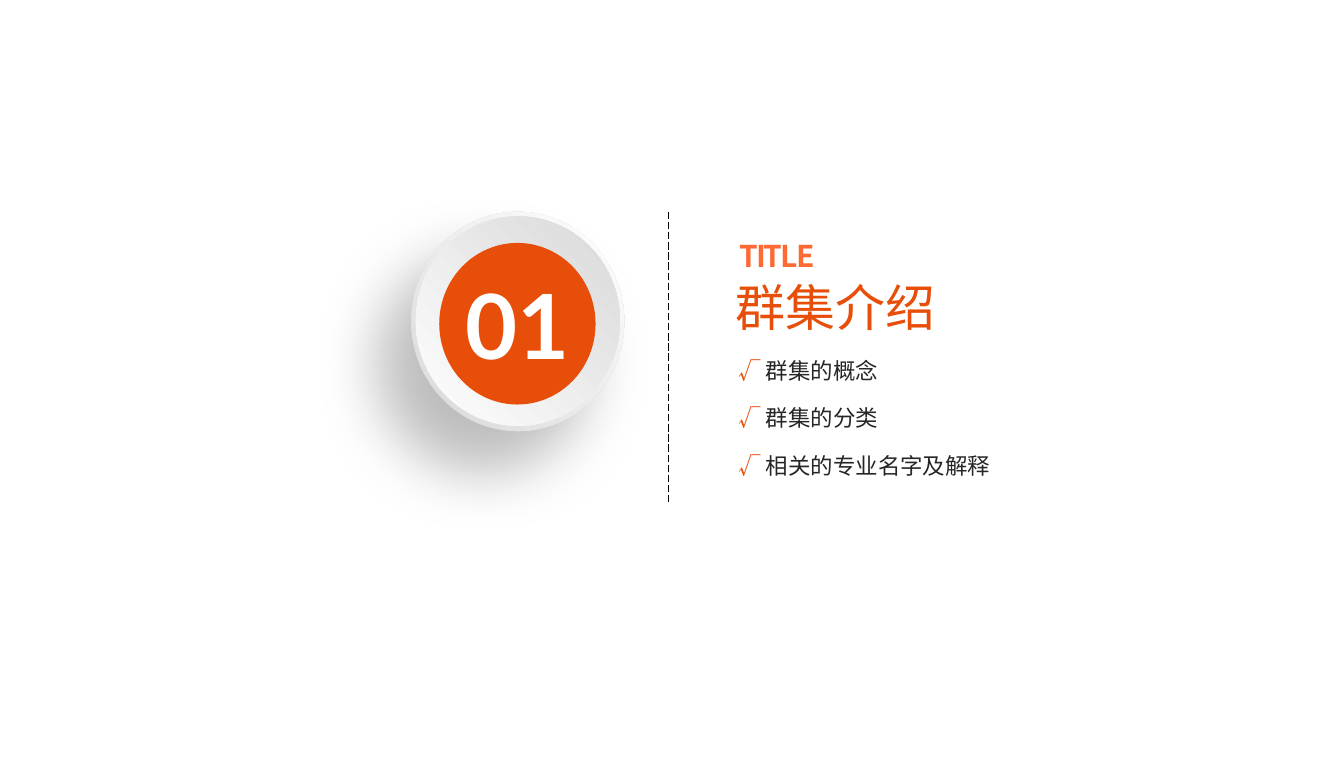
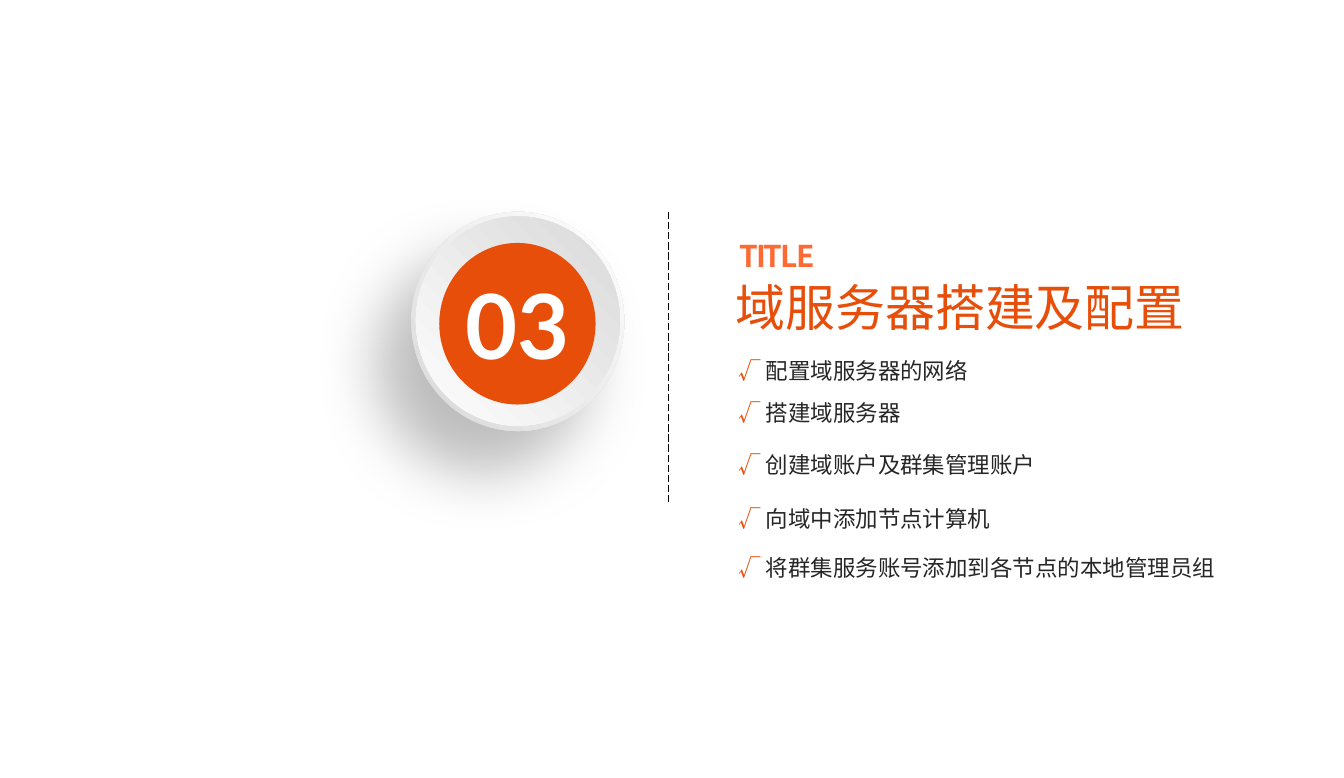
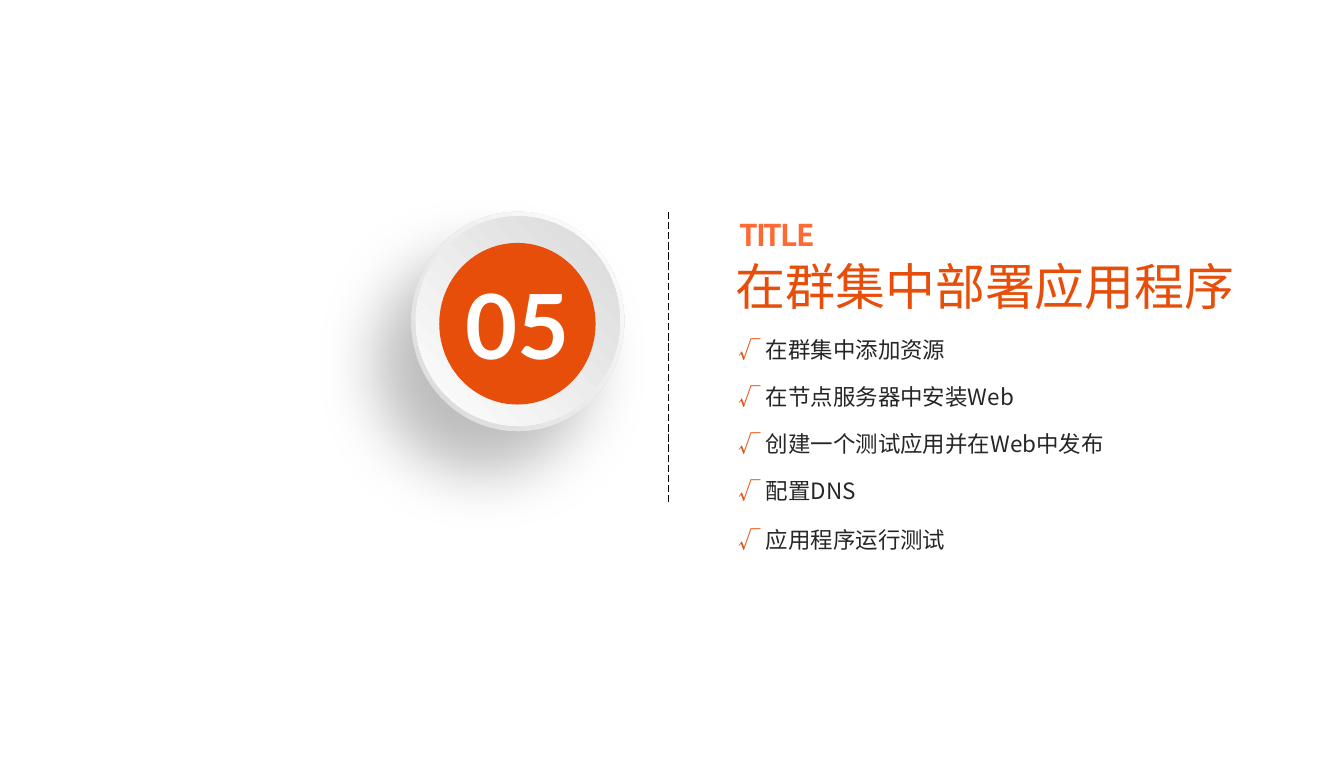
"""Build three numbered section-divider slides."""
from dataclasses import dataclass

from lxml import etree
from pptx import Presentation
from pptx.dml.color import RGBColor
from pptx.enum.dml import MSO_LINE
from pptx.enum.shapes import MSO_CONNECTOR, MSO_SHAPE
from pptx.enum.text import MSO_ANCHOR, MSO_AUTO_SIZE, PP_ALIGN
from pptx.oxml import parse_xml
from pptx.oxml.ns import nsdecls, qn
from pptx.util import Cm, Pt

OVAL = MSO_SHAPE.OVAL
STRAIGHT = MSO_CONNECTOR.STRAIGHT
LONG_DASH = MSO_LINE.LONG_DASH
TOP = MSO_ANCHOR.TOP
MIDDLE = MSO_ANCHOR.MIDDLE
LEFT = PP_ALIGN.LEFT
CENTER = PP_ALIGN.CENTER
NO_FIT = MSO_AUTO_SIZE.NONE

COLORS = {
    "accent": "E74E09",
    "label": "FE6934",
    "text": "262626",
    "white": "FFFFFF",
    "pale": "FEFEFE",
    "gray": "D9D9D9",
    "black": "000000",
}
CJK_FONT = "Noto Sans CJK SC"
NUMBER_FONT = "Lato"


@dataclass(frozen=True)
class Box:
    left: float
    top: float
    width: float
    height: float

    def lengths(self) -> tuple:
        return Cm(self.left), Cm(self.top), Cm(self.width), Cm(self.height)


@dataclass(frozen=True)
class Item:
    text: str
    space_before: float = 0


@dataclass(frozen=True)
class Section:
    number: str
    heading: str
    top: float
    items: tuple[Item, ...]


RIM = Box(11.63, 5.99, 6.02, 6.2)
BOWL = Box(11.76, 6.12, 5.77, 5.92)
CORE = Box(12.42, 6.87, 4.42, 4.57)

SECTIONS = (
    Section("01", "群集介绍", 6.6, (
        Item("群集的概念"),
        Item("群集的分类", 16),
        Item("相关的专业名字及解释", 16.5),
    )),
    Section("03", "域服务器搭建及配置", 6.6, (
        Item("配置域服务器的网络"),
        Item("搭建域服务器", 12),
        Item("创建域账户及群集管理账户", 20),
        Item("向域中添加节点计算机", 21.5),
        Item("将群集服务账号添加到各节点的本地管理员组", 17.5),
    )),
    Section("05", "在群集中部署应用程序", 5.99, (
        Item("在群集中添加资源"),
        Item("在节点服务器中安装Web", 16),
        Item("创建一个测试应用并在Web中发布", 16.5),
        Item("配置DNS", 15.5),
        Item("应用程序运行测试", 18),
    )),
)


def color(name: str) -> RGBColor:
    return RGBColor.from_string(COLORS[name])


def add_run(paragraph, text: str, size: float, color_name: str,
            font_name: str = CJK_FONT, bold: bool = False, spacing: int = 0) -> None:
    run = paragraph.add_run()
    run.text = text
    font = run.font
    font.size = Pt(size)
    font.bold = bold
    font.name = font_name
    font.color.rgb = color(color_name)
    properties = run._r.get_or_add_rPr()
    east_asian = etree.Element(qn("a:ea"), typeface=font_name)
    properties.find(qn("a:latin")).addnext(east_asian)
    if spacing:
        properties.set("spc", str(spacing))


def place(shape, box: Box) -> None:
    shape.left, shape.top, shape.width, shape.height = box.lengths()
    frame = shape.text_frame
    frame.word_wrap = True
    frame.auto_size = NO_FIT
    frame.vertical_anchor = TOP


def add_disc(slide, box: Box):
    disc = slide.shapes.add_shape(OVAL, *box.lengths())
    disc.shadow.inherit = False
    disc.line.fill.background()
    return disc


def fill_radial(shape, inner: str, outer: str) -> None:
    gradient = parse_xml(
        f'<a:gradFill {nsdecls("a")} rotWithShape="1"><a:gsLst>'
        f'<a:gs pos="0"><a:srgbClr val="{COLORS[inner]}"/></a:gs>'
        f'<a:gs pos="100000"><a:srgbClr val="{COLORS[outer]}"/></a:gs>'
        '</a:gsLst><a:path path="circle">'
        '<a:fillToRect l="100000" t="0" r="0" b="100000"/>'
        '</a:path></a:gradFill>')
    shape._element.spPr.find(qn("a:prstGeom")).addnext(gradient)


def add_soft_shadow(shape) -> None:
    shadow = parse_xml(
        f'<a:outerShdw {nsdecls("a")} blurRad="{Pt(50)}" dist="{Pt(44)}" '
        'dir="7800000" algn="ctr" rotWithShape="0">'
        f'<a:srgbClr val="{COLORS["black"]}"><a:alpha val="25000"/></a:srgbClr>'
        '</a:outerShdw>')
    shape._element.spPr.find(qn("a:effectLst")).append(shadow)


def draw_badge(slide, number: str) -> None:
    rim = add_disc(slide, RIM)
    fill_radial(rim, "white", "gray")
    add_soft_shadow(rim)
    fill_radial(add_disc(slide, BOWL), "gray", "pale")
    core = add_disc(slide, CORE)
    core.fill.solid()
    core.fill.fore_color.rgb = color("accent")
    frame = core.text_frame
    frame.margin_left = frame.margin_right = 0
    frame.margin_top = frame.margin_bottom = Cm(0.15)
    frame.vertical_anchor = MIDDLE
    paragraph = frame.paragraphs[0]
    paragraph.alignment = CENTER
    add_run(paragraph, number, 72, "white", NUMBER_FONT, bold=True)


def draw_divider(slide) -> None:
    divider = slide.shapes.add_connector(
        STRAIGHT, Cm(18.91), Cm(5.99), Cm(18.91), Cm(14.25))
    divider.line.color.rgb = color("black")
    divider.line.width = Pt(0.75)
    divider.line.dash_style = LONG_DASH
    etree.SubElement(divider._element.spPr, qn("a:effectLst"))


def write_heading(slide, section: Section) -> None:
    label = slide.shapes.add_textbox(0, 0, 0, 0)
    place(label, Box(20.65, section.top, 6.38, 1.4))
    add_run(label.text_frame.paragraphs[0], "TITLE", 24, "label",
            bold=True, spacing=-150)
    title = slide.shapes.title
    place(title, Box(20.55, section.top + 1.1, 15.5, 2.3))
    paragraph = title.text_frame.paragraphs[0]
    paragraph.alignment = LEFT
    add_run(paragraph, section.heading, 40, "accent")


def write_items(slide, section: Section) -> None:
    body = slide.placeholders[1]
    place(body, Box(20.62, section.top + 3.38, 15.3, 1.4 * len(section.items)))
    frame = body.text_frame
    for index, item in enumerate(section.items):
        paragraph = frame.add_paragraph() if index else frame.paragraphs[0]
        properties = paragraph._p.get_or_add_pPr()
        properties.set("marL", "0")
        properties.set("indent", "0")
        etree.SubElement(properties, qn("a:buNone"))
        paragraph.space_before = Pt(item.space_before)
        add_run(paragraph, "√ ", 18, "accent")
        add_run(paragraph, item.text, 18, "text")


def main() -> None:
    presentation = Presentation()
    presentation.slide_width = Cm(38)
    presentation.slide_height = Cm(22)
    layout = presentation.slide_layouts[1]
    for section in SECTIONS:
        slide = presentation.slides.add_slide(layout)
        draw_badge(slide, section.number)
        draw_divider(slide)
        write_heading(slide, section)
        write_items(slide, section)
    presentation.save("out.pptx")


if __name__ == "__main__":
    main()
